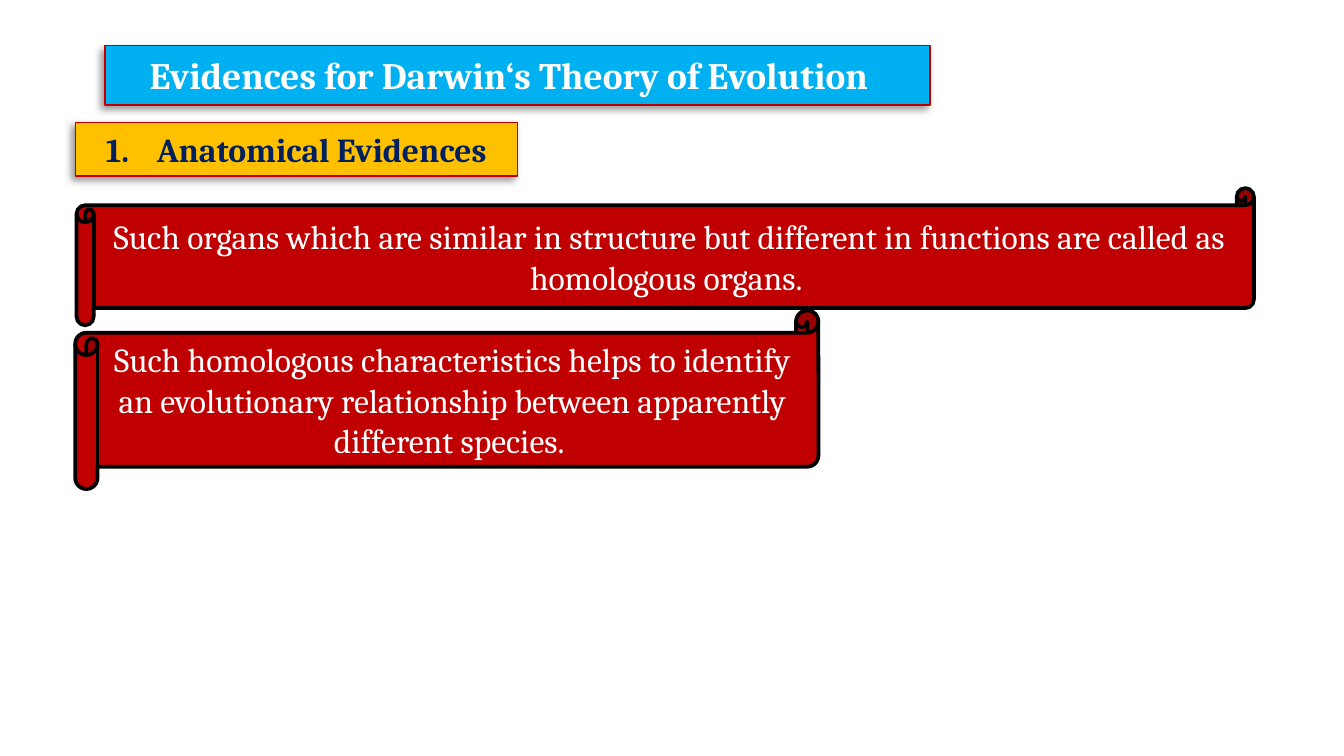
from lxml.etree import SubElement
from pptx import Presentation
from pptx.dml.color import RGBColor
from pptx.enum.shapes import MSO_SHAPE as Shape
from pptx.enum.text import MSO_ANCHOR as Anchor, MSO_AUTO_SIZE as AutoSize, PP_ALIGN as Align
from pptx.oxml.ns import qn
from pptx.util import Inches, Pt

FONT = "Cambria"
WHITE = RGBColor(0xFF, 0xFF, 0xFF)
BLACK = RGBColor(0x00, 0x00, 0x00)
RED = RGBColor(0xC0, 0x00, 0x00)
BLUE = RGBColor(0x00, 0xB0, 0xF0)
GOLD = RGBColor(0xFF, 0xC0, 0x00)
NAVY = RGBColor(0x00, 0x20, 0x60)

SCROLLS = [
    ((0.57, 1.4, 8.76, 1.02),
     "Such organs which are similar in structure but different in functions "
     "are called as homologous organs. "),
    ((0.56, 2.31, 5.53, 1.33),
     "Such homologous characteristics helps to identify an evolutionary "
     "relationship between apparently different species. "),
]


def paint(shape, fill, line, width):
    shape.fill.solid()
    shape.fill.fore_color.rgb = fill
    shape.line.color.rgb = line
    shape.line.width = Pt(width)


def write(shape, text, size, color, bold=False):
    shape.text_frame.word_wrap = True
    paragraph = shape.text_frame.paragraphs[0]
    paragraph.text = text
    paragraph.alignment = Align.CENTER
    font = paragraph.font
    font.name, font.size, font.bold = FONT, Pt(size), bold
    font.color.rgb = color


def add_shadow(shape):
    effects = SubElement(shape._element.spPr, qn("a:effectLst"))
    shadow = SubElement(effects, qn("a:outerShdw"), blurRad=str(Pt(4)), dist=str(Pt(3)),
                        dir=str(135 * 60000), algn="tr", rotWithShape="0")
    color = SubElement(shadow, qn("a:srgbClr"), val=str(BLACK))
    SubElement(color, qn("a:alpha"), val="40000")


def format_banner(shape, text, size, fill, color):
    paint(shape, fill, RED, 0.75)
    add_shadow(shape)
    write(shape, text, size, color, bold=True)
    shape.text_frame.vertical_anchor = Anchor.TOP
    shape.text_frame.auto_size = AutoSize.NONE


def add_title(slide):
    title = slide.shapes.title
    title.left, title.top = Inches(0.78), Inches(0.34)
    title.width, title.height = Inches(6.14), Inches(0.44)
    format_banner(title, "Evidences for Darwin‘s Theory of Evolution  ", 20, BLUE, WHITE)


def add_numbered_heading(slide):
    heading = slide.shapes.add_textbox(Inches(0.56), Inches(0.91), Inches(3.29), Inches(0.4))
    properties = heading.text_frame.paragraphs[0]._p.get_or_add_pPr()
    indent = Inches(0.38)
    properties.set("marL", str(indent))
    properties.set("indent", str(-indent))
    SubElement(properties, qn("a:buFont"), typeface="+mj-lt")
    SubElement(properties, qn("a:buAutoNum"), type="arabicPeriod")
    format_banner(heading, "Anatomical Evidences", 18, GOLD, NAVY)


def add_scroll(slide, box, text):
    scroll = slide.shapes.add_shape(Shape.HORIZONTAL_SCROLL, *map(Inches, box))
    scroll.shadow.inherit = False
    paint(scroll, RED, BLACK, 2)
    write(scroll, text, 18, WHITE)
    scroll.text_frame.vertical_anchor = Anchor.MIDDLE


def main():
    presentation = Presentation()
    presentation.slide_width = Inches(10)
    presentation.slide_height = presentation.slide_width * 9 // 16
    slide = presentation.slides.add_slide(presentation.slide_layouts[5])
    add_title(slide)
    add_numbered_heading(slide)
    for box, text in SCROLLS:
        add_scroll(slide, box, text)
    presentation.save("out.pptx")


if __name__ == "__main__":
    main()
